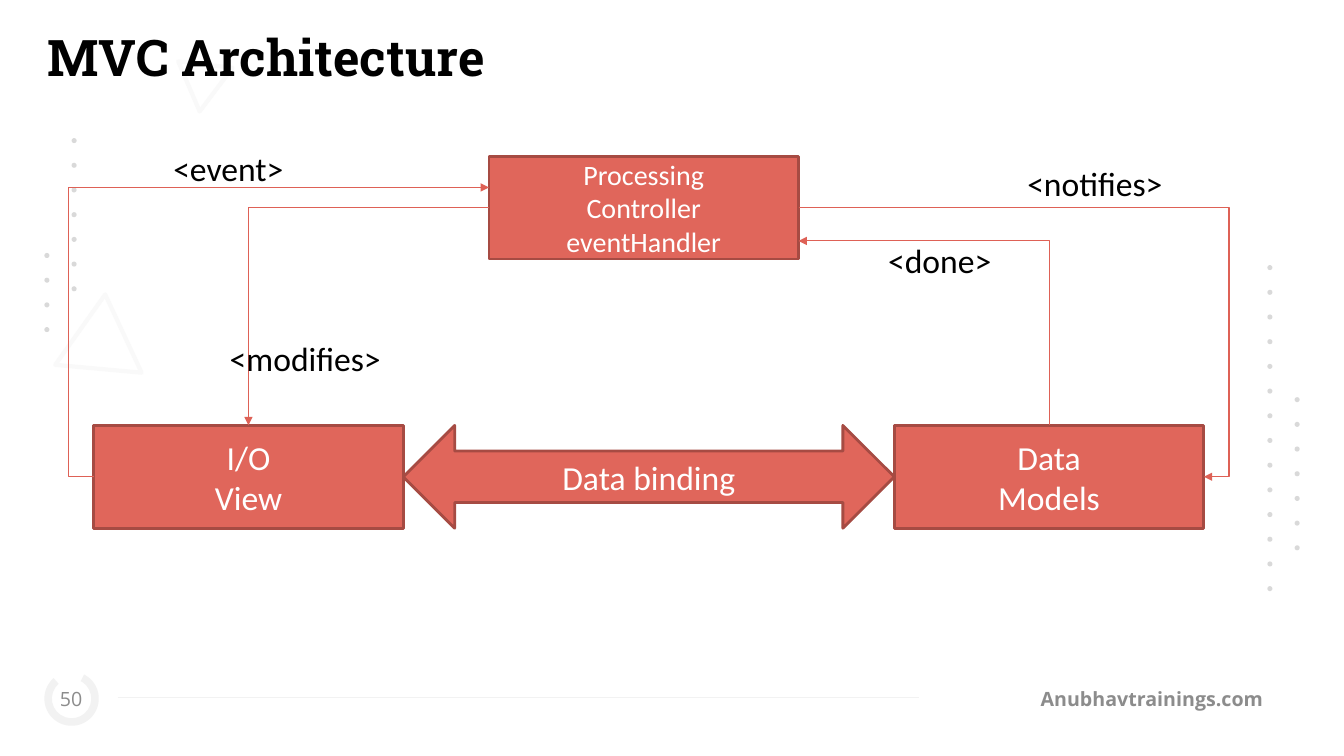
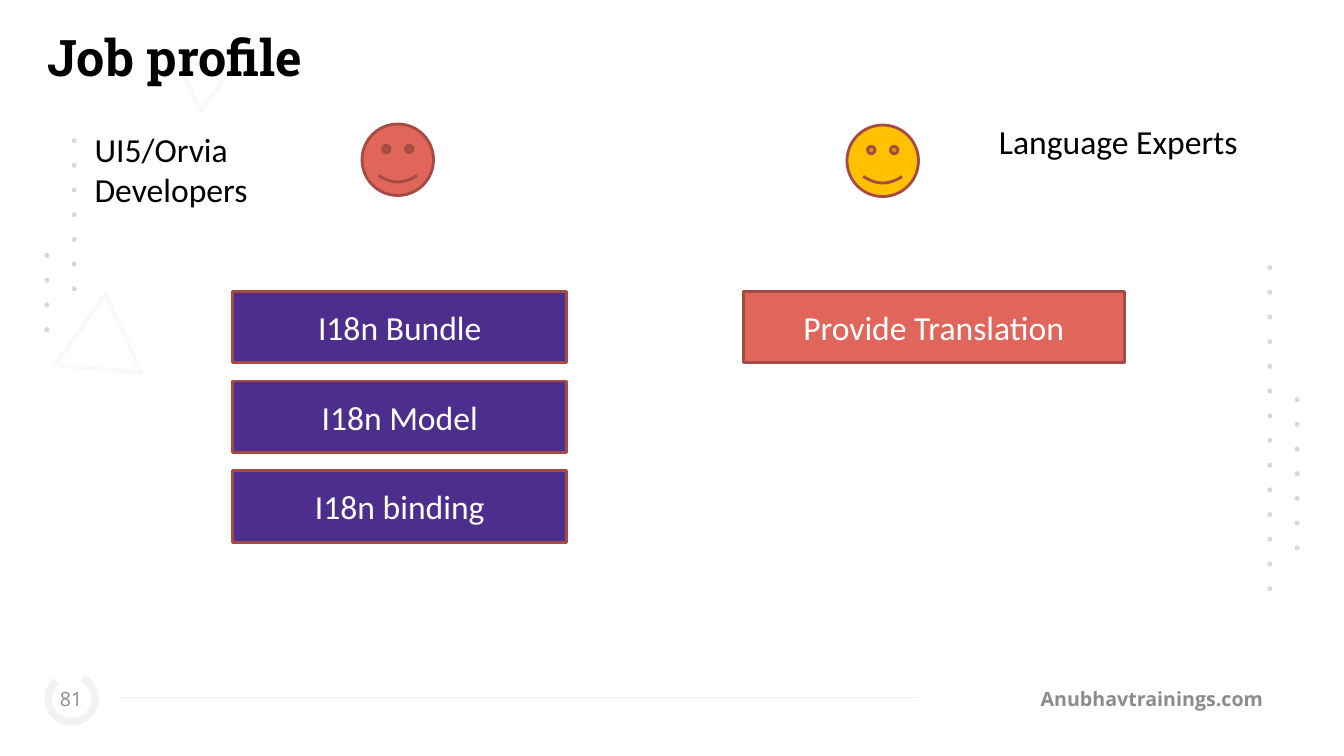
from lxml.etree import SubElement
from pptx import Presentation
from pptx.dml.color import RGBColor
from pptx.enum.shapes import MSO_CONNECTOR as Link, MSO_SHAPE as Preset
from pptx.enum.text import MSO_ANCHOR as Anchor, PP_ALIGN as Align
from pptx.oxml.ns import qn
from pptx.util import Inches, Pt

# Theme
THEME = {
    "coral": "E0665B", "edge": "A64B43", "link": "DE6156", "purple": "4D2E8C",
    "yellow": "FFC000", "pale": "F2F2F2", "dots": "D9D9D9",
}
STYLES = {
    "title": {"name": "Roboto Slab", "size": 36, "bold": True, "color": "000000"},
    "label": {"name": "Calibri", "size": 24, "color": "000000"},
    "box": {"name": "Calibri", "size": 24, "color": "FFFFFF"},
    "small box": {"name": "Calibri", "size": 20, "color": "FFFFFF"},
    "page": {"name": "Open Sans", "size": 14, "color": "8C8C8C"},
    "site": {"name": "Open Sans", "size": 14, "bold": True, "color": "8C8C8C"},
}

# Shared frame, in inches
SLIDE_W, SLIDE_H = 13.33, 7.5
TITLE_AREA = (0.37, 0.21, 12.52, 0.71)
SITE = "Anubhavtrainings.com"
DOT, DOT_STEP = 0.05, 0.245
DOT_GROUPS = [  # columns of (left, top, count)
    [(12.84, 3.94, 7), (12.57, 2.63, 14)],
    [(0.71, 1.37, 7), (0.44, 2.51, 4)],
]
TRIANGLES = [((1.82, 0.53, 0.54, 0.47), 66.8), ((0.58, 2.92, 0.86, 0.74), 5.2)]

# MVC slide
BOX_W, BOX_H = 3.07, 1.02
MVC_BOXES = {
    "controller": (4.85, 1.55, ["Processing", "Controller", "eventHandler"], "small box"),
    "view": (0.93, 4.22, ["I/O", "View"], "box"),
    "models": (8.87, 4.22, ["Data", "Models"], "box"),
}
MVC_LABELS = [
    ("<event>", 1.62, 1.42), ("<modifies>", 2.18, 3.3),
    ("<notifies>", 10.09, 1.57), ("<done>", 8.71, 2.33),
]
TOP, LEFT, BOTTOM, RIGHT = range(4)
MVC_LINKS = [  # start, finish, arrow end, bend; a port is (box, side, shift down)
    (("controller", RIGHT, 0), ("models", RIGHT, 0), "tail", 1.062),
    (("controller", RIGHT, 0.33), ("models", TOP, 0), "head", None),
    (("controller", LEFT, 0), ("view", TOP, 0), "tail", None),
    (("view", LEFT, 0), ("controller", LEFT, -0.2), "tail", -0.064),
]

# Job profile slide
FACE, TASK_H, TASK_TOP, TASK_STEP = 0.71, 0.71, 2.89, 0.89
ROLES = [
    {"who": "UI5/Orvia Developers", "label": (0.84, 1.23, 2.6, 0.91),
     "face": (3.59, 1.23, "coral"), "column": (2.31, 3.31, "purple"),
     "tasks": ["I18n Bundle", "I18n Model", "I18n binding"]},
    {"who": "Language Experts", "label": (9.81, 1.15, 2.6, 0.5),
     "face": (8.4, 1.24, "yellow"), "column": (7.37, 3.78, "coral"),
     "tasks": ["Provide Translation"]},
]


def rgb(key):
    return RGBColor.from_string(THEME.get(key, key))


def area(*lengths):
    return [Inches(length) for length in lengths]


def write(frame, lines, style, align=Align.LEFT, anchor=Anchor.TOP, **margins):
    frame.word_wrap = True
    frame.vertical_anchor = anchor
    for side, inches in margins.items():
        setattr(frame, f"margin_{side}", Inches(inches))
    for number, line in enumerate(lines):
        paragraph = frame.add_paragraph() if number else frame.paragraphs[0]
        paragraph.alignment = align
        run = paragraph.add_run()
        run.text = line
        for key, value in STYLES[style].items():
            if key == "color":
                run.font.color.rgb = rgb(value)
            else:
                setattr(run.font, key, Pt(value) if key == "size" else value)


def add_text(slide, place, text, style, **layout):
    write(slide.shapes.add_textbox(*area(*place)).text_frame, [text], style, **layout)


def add_preset(shapes, preset, place, fill=None, line=None, width=2, turn=0):
    shape = shapes.add_shape(preset, *area(*place))
    shape.shadow.inherit = False
    shape.rotation = turn
    for paint, colour in ((shape.fill, fill), (shape.line.fill, line)):
        if colour:
            paint.solid()
            paint.fore_color.rgb = rgb(colour)
        else:
            paint.background()
    if line:
        shape.line.width = Pt(width)
    return shape


def add_box(slide, preset, place, lines, fill="coral", style="box"):
    box = add_preset(slide.shapes, preset, place, fill, "edge")
    write(box.text_frame, lines, style, Align.CENTER, Anchor.MIDDLE)
    return box


def add_line(slide, kind, start, finish, colour):
    line = slide.shapes.add_connector(kind, *start, *finish)
    line.line.color.rgb = rgb(colour)
    line.line.width = Pt(0.75)
    SubElement(line.element.spPr, qn("a:effectLst"))
    return line


def port(box, side, shift):
    x = box.left + box.width * {LEFT: 0, RIGHT: 2}.get(side, 1) // 2
    y = box.top + box.height * {TOP: 0, BOTTOM: 2}.get(side, 1) // 2
    return x, y + Inches(shift)


def add_link(slide, boxes, start, finish, arrow_end, bend):
    ends = [port(boxes[name], side, shift) for name, side, shift in (start, finish)]
    link = add_line(slide, Link.ELBOW, *ends, "link")
    for (name, side, shift), join in ((start, link.begin_connect), (finish, link.end_connect)):
        if not shift:
            join(boxes[name], side)
    properties = link.element.spPr
    geometry = properties.find(qn("a:prstGeom"))
    if bend is None:
        geometry.set("prst", "bentConnector2")
    else:
        guides = geometry.find(qn("a:avLst"))
        if guides is None:
            guides = SubElement(geometry, qn("a:avLst"))
        SubElement(guides, qn("a:gd"), name="adj1", fmla=f"val {round(bend * 100000)}")
    SubElement(properties.find(qn("a:ln")), qn(f"a:{arrow_end}End"), type="triangle")


def decorate(layout, slide):
    """Draw the shared decoration and hand it to the layout."""
    shapes = slide.shapes
    ring = add_preset(shapes, Preset.BLOCK_ARC, (0.44, 6.66, 0.54, 0.54), "pale", turn=228.7)
    for index, value in enumerate((41.307, 0, 0.138)):
        ring.adjustments[index] = value
    parts = [ring, add_line(slide, Link.STRAIGHT, area(1.17, 6.92), area(9.11, 6.92), "pale")]
    for place, turn in TRIANGLES:
        triangle = add_preset(shapes, Preset.ISOSCELES_TRIANGLE, place,
                              line="dots", width=3, turn=turn)
        colour = triangle.line.fill.fore_color
        colour.rgb = rgb("dots")
        tint = triangle.element.spPr.find(qn("a:ln")).find(".//" + qn("a:srgbClr"))
        SubElement(tint, qn("a:alpha"), val="14000")
        parts.append(triangle)
    for columns in DOT_GROUPS:
        group = shapes.add_group_shape()
        for left, top, count in columns:
            for row in range(count):
                add_preset(group.shapes, Preset.OVAL,
                           (left, top + row * DOT_STEP, DOT, DOT), "dots")
        parts.append(group)
    for part in parts:
        layout.shapes.element.append(part.element)


def add_page(deck, layout, title, number):
    slide = deck.slides.add_slide(layout)
    heading = slide.shapes.title
    heading.left, heading.top, heading.width, heading.height = area(*TITLE_AREA)
    write(heading.text_frame, [title], "title")
    add_text(slide, (9.26, 6.73, 3.4, 0.4), SITE, "site", align=Align.RIGHT,
             anchor=Anchor.MIDDLE, left=0.13, top=0.07, right=0.13, bottom=0.07)
    add_text(slide, (0.5, 6.73, 0.41, 0.4), number, "page", align=Align.CENTER,
             anchor=Anchor.MIDDLE, left=0, top=0.07, right=0, bottom=0.07)
    return slide


def build_mvc(slide):
    boxes = {name: add_box(slide, Preset.RECTANGLE, (left, top, BOX_W, BOX_H), lines, style=style)
             for name, (left, top, lines, style) in MVC_BOXES.items()}
    for link in MVC_LINKS:
        add_link(slide, boxes, *link)
    for text, left, top in MVC_LABELS:
        add_text(slide, (left, top, 1.85, 0.5), text, "label")
    # The binding arrow fills the gap between view and models
    view_left, row_top = MVC_BOXES["view"][:2]
    start = view_left + BOX_W
    gap = MVC_BOXES["models"][0] - start
    add_box(slide, Preset.LEFT_RIGHT_ARROW, (start, row_top, gap, BOX_H), ["Data binding"])


def build_jobs(slide):
    for role in ROLES:
        left, top, colour = role["face"]
        add_preset(slide.shapes, Preset.SMILEY_FACE, (left, top, FACE, FACE), colour, "edge")
        add_text(slide, role["label"], role["who"], "label")
        left, width, colour = role["column"]
        for row, task in enumerate(role["tasks"]):
            place = (left, TASK_TOP + row * TASK_STEP, width, TASK_H)
            add_box(slide, Preset.RECTANGLE, place, [task], colour)


def main():
    deck = Presentation()
    deck.slide_width, deck.slide_height = area(SLIDE_W, SLIDE_H)
    layout = deck.slide_layouts.get_by_name("Title Only")
    mvc = add_page(deck, layout, "MVC Architecture", "50")
    decorate(layout, mvc)
    build_mvc(mvc)
    build_jobs(add_page(deck, layout, "Job profile", "81"))
    deck.save("out.pptx")


if __name__ == "__main__":
    main()
